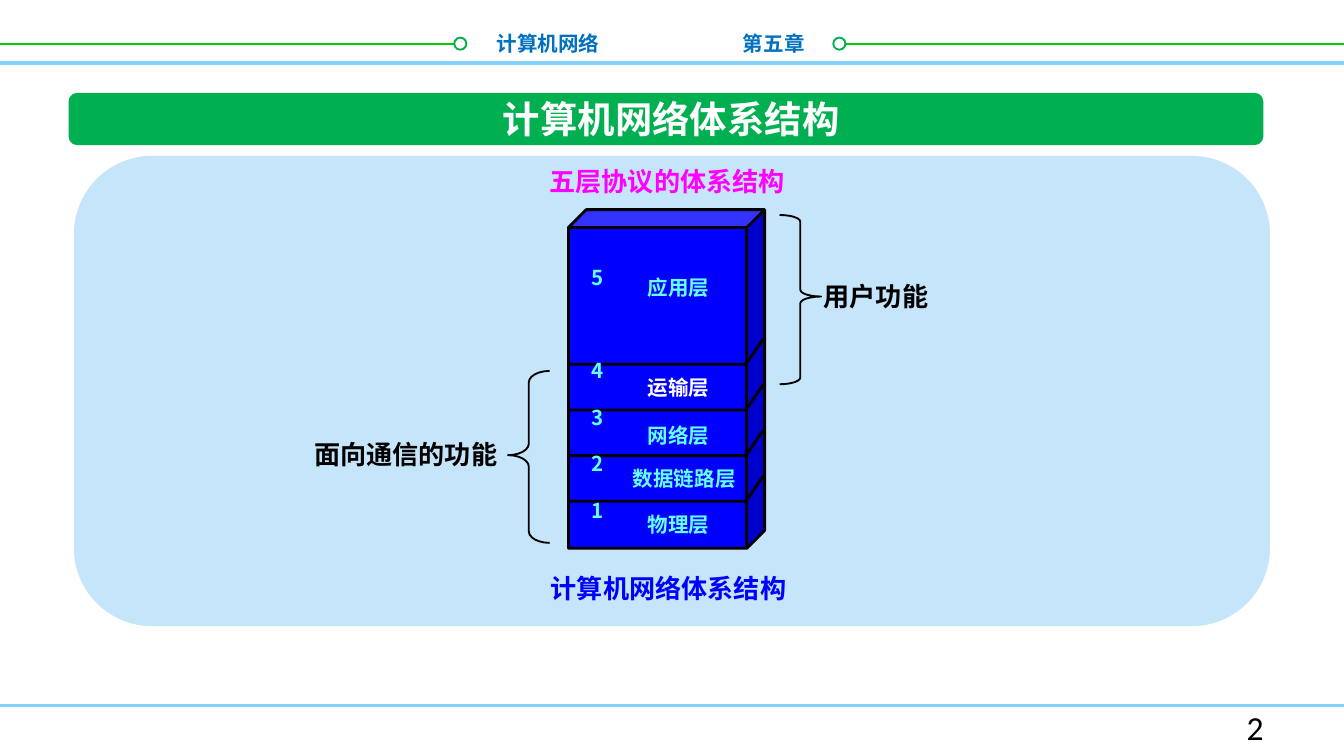
from lxml import etree
from pptx import Presentation
from pptx.dml.color import RGBColor
from pptx.enum import shapes, text
from pptx.oxml import ns
from pptx.util import Inches, Pt

CJK = "Noto Sans CJK SC"
SHAPE = shapes.MSO_SHAPE
LEFT, CENTER, RIGHT = text.PP_ALIGN.LEFT, text.PP_ALIGN.CENTER, text.PP_ALIGN.RIGHT
SKY, GREEN, BLUE, CYAN = "85D1F7", "00B050", "0000FF", "66FFFF"
BLACK, WHITE = "000000", "FFFFFF"


def colour(code):
    return RGBColor.from_string(code)


def add_label(page, box, words, size, code, align=LEFT, font=CJK, bold=True, wrap=False):
    """Text box; a line break in words starts a new paragraph."""
    label = page.shapes.add_textbox(*map(Inches, box))
    frame = label.text_frame
    frame.word_wrap = wrap
    frame.text = words
    for para in frame.paragraphs:
        para.alignment = align
        for span in para.runs:
            span.font.size, span.font.bold = Pt(size), bold
            span.font.name = font
            span.font.color.rgb = colour(code)
            east = etree.SubElement(span._r.get_or_add_rPr(), ns.qn("a:ea"))
            east.set("typeface", CJK)
    return frame


def style(shape, fill=None, line=None, width=1):
    shape.shadow.inherit = False
    if fill:
        shape.fill.solid()
        shape.fill.fore_color.rgb = colour(fill)
    else:
        shape.fill.background()
    if line:
        shape.line.color.rgb = colour(line)
        shape.line.width = Pt(width)
    else:
        shape.line.fill.background()


def add_shape(page, kind, box, adjustments=(), **look):
    shape = page.shapes.add_shape(kind, *map(Inches, box))
    for index, value in enumerate(adjustments):
        shape.adjustments[index] = value
    style(shape, **look)
    return shape


def add_rule(page, left, right, y, code, width):
    rule = page.shapes.add_connector(
        shapes.MSO_CONNECTOR.STRAIGHT, Inches(left), Inches(y), Inches(right), Inches(y))
    rule.line.color.rgb = colour(code)
    rule.line.width = Pt(width)
    etree.SubElement(rule._element.spPr, ns.qn("a:effectLst"))


def add_header(page, left, top, width):
    add_rule(page, left, left + width, top + 0.47, SKY, 2)
    # Thin rules, each ending in a ring
    for start, end, ring in ((0, 3.4, 3.38), (6.2, width, 6.2)):
        add_rule(page, left + start, left + end, top + 0.33, "00CC00", 1)
        add_shape(page, SHAPE.OVAL, (left + ring, top + 0.28, 0.09, 0.09),
                  fill=WHITE, line=GREEN)
    add_label(page, (left + 3.59, top + 0.18, 0.97, 0.29), "计算机网络", 11, "0070C0", RIGHT)
    add_label(page, (left + 5.43, top + 0.18, 1.16, 0.29), "第五章", 11, "0070C0", wrap=True)


def add_title(page, left, top, width, height):
    add_shape(page, SHAPE.ROUNDED_RECTANGLE, (left, top, width, height), [0.167], fill=GREEN)
    add_label(page, (left + 3.12, top - 0.02, 2.73, 0.44), "计算机网络体系结构",
              20, WHITE, CENTER, font="Calibri")


def add_stack(page, left, top, width, height):
    """Block of five layers, numbered from the bottom."""
    add_shape(page, SHAPE.CUBE, (left, top, width, height), [0.091],
              fill=BLUE, line=BLACK, width=1.5)
    # Edges between layers, folding round the right side
    for step in range(4):
        y = top + 1.15 + 0.34 * step
        edge = page.shapes.build_freeform(Inches(left + width - 0.01), Inches(y - 0.19))
        edge.add_line_segments([(Inches(left + width - 0.14), Inches(y)),
                                (Inches(left), Inches(y))], close=False)
        style(edge.convert_to_shape(), line=BLACK, width=1.5)
    # Layer names
    layers = (("应用层", 0.49, 0.44, CYAN), ("运输层", 0.49, 1.18, WHITE),
              ("网络层", 0.49, 1.54, CYAN), ("数据链路层", 0.38, 1.86, CYAN),
              ("物理层", 0.49, 2.2, CYAN))
    for name, x, y, code in layers:
        add_label(page, (left + x, top + y, 0.2 + len(name) * 0.153, 0.28), name, 11, code)
    # Layer numbers; the top layer is taller than the rest
    numbers = add_label(page, (left + 0.07, top + 0.2, 0.3, 2.37), "5\n4\n3\n2\n1", 11, CYAN)
    for para in numbers.paragraphs:
        para.line_spacing = 1.9
    numbers.paragraphs[1].space_before = Pt(24.5)


def add_braces(page, left, top):
    """Braces beside the stack and what they stand for."""
    lower = add_shape(page, SHAPE.RIGHT_BRACE, (left + 3.23, top + 1.6, 0.31, 1.28),
                      [0.276, 0.49], line=BLACK)
    lower._element.spPr.find(ns.qn("a:xfrm")).set("flipH", "1")
    add_label(page, (left + 1.43, top + 2.05, 1.82, 0.34), "面向通信的功能",
              14, BLACK, RIGHT, wrap=True)
    add_shape(page, SHAPE.RIGHT_BRACE, (left + 5.25, top + 0.44, 0.31, 1.26),
              [0.162, 0.482], line=BLACK)
    add_label(page, (left + 5.48, top + 0.88, 0.99, 0.34), "用户功能", 14, BLACK)


def add_panel(page, left, top, width, height):
    add_shape(page, SHAPE.ROUNDED_RECTANGLE, (left, top, width, height), fill="C5E5FB")
    add_stack(page, left + 3.68, top + 0.4, 1.46, 2.52)
    add_label(page, (left + 3.44, top + 0.02, 1.97, 0.34), "五层协议的体系结构", 14, "FF00FF")
    add_label(page, (left + 0.65, top + 3.05, 7.55, 0.34), "计算机网络体系结构",
              14, BLUE, CENTER, wrap=True)
    add_braces(page, left, top)


def add_footer(page, left, top, width):
    add_rule(page, left, left + width, top, SKY, 1.5)
    add_label(page, (left + 7.17, top - 0.04, 2.33, 0.3), "2", 18, BLACK, RIGHT,
              font="Calibri", bold=False, wrap=True)


def main():
    deck = Presentation()
    deck.slide_width = Inches(10)
    deck.slide_height = deck.slide_width * 9 // 16
    page = deck.slides.add_slide(deck.slide_layouts[6])
    add_header(page, 0, 0, 10)
    add_title(page, 0.51, 0.69, 8.89, 0.39)
    add_panel(page, 0.55, 1.16, 8.9, 3.5)
    add_footer(page, 0, 5.25, 10)
    deck.save("out.pptx")


if __name__ == "__main__":
    main()
